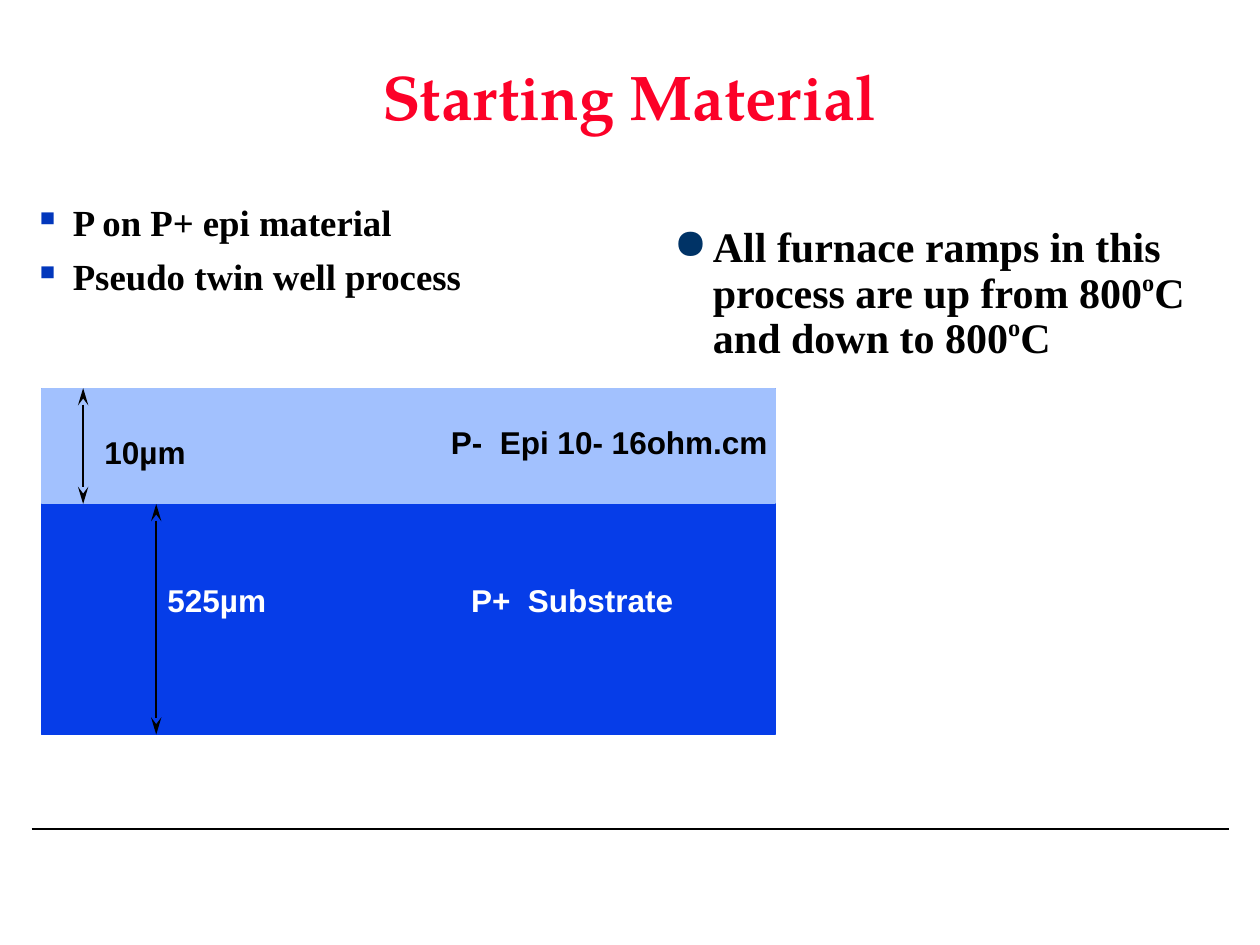
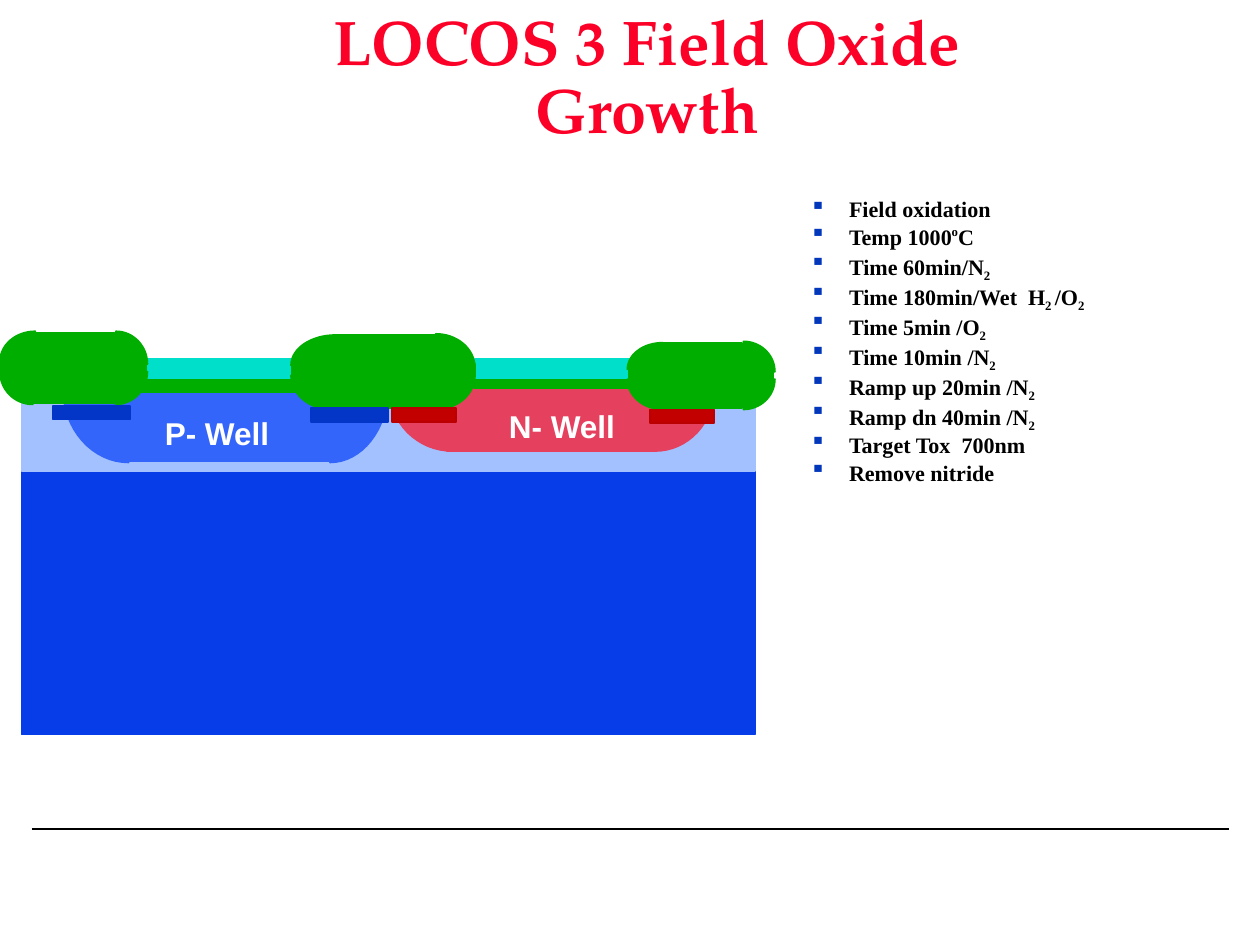
from dataclasses import dataclass
from math import cos, pi, sin

from lxml import etree
from pptx import Presentation
from pptx.dml.color import RGBColor
from pptx.enum.shapes import MSO_CONNECTOR, MSO_SHAPE
from pptx.enum.text import MSO_ANCHOR, MSO_AUTO_SIZE, PP_ALIGN
from pptx.oxml.ns import qn
from pptx.util import Inches, Pt


@dataclass(frozen=True)
class Theme:
    title_font: str = "TeX Gyre Pagella"
    body_font: str = "Times New Roman"
    label_font: str = "Arial"
    title_size: float = 36
    note_size: float = 24
    body_size: float = 21
    steps_size: float = 12.6
    label_size: float = 18
    title: str = "FC0128"
    black: str = "000000"
    white: str = "FFFFFF"
    bullet: str = "0237BC"
    note_bullet: str = "003366"
    substrate: str = "063DE8"
    epi: str = "A2C1FE"
    p_well: str = "3365FB"
    n_well: str = "E5405D"
    oxide: str = "00AE00"
    nitride: str = "00DFCA"
    p_implant: str = "0336C7"
    n_implant: str = "C20000"
    n_implant_edge: str = "BA0000"


THEME = Theme()
BASELINES = {"o": "40000", "2": "-25000"}
ARC_STEPS = 16

# Each corner is (centre x, centre y, signed x radius, signed y radius);
# each bar is (left, top, width, height).
N_WELL = ([(3.59, 3.08, -0.5, 0.5), (5.2, 3.08, 0.47, 0.5)],
          [(3.55, 3.09, 1.65, 0.49)])
P_WELL = ([(1.02, 3.08, -0.52, 0.59), (2.62, 3.08, 0.46, 0.59)],
          [(0.97, 3.09, 1.65, 0.57)])
FIELD_OXIDES = [
    ([(2.63, 2.98, -0.32, 0.27), (3.46, 2.98, 0.31, 0.27),
      (3.46, 2.92, 0.31, -0.27), (2.66, 2.9, -0.35, -0.24)],
     [(2.32, 2.89, 1.45, 0.09), (2.64, 2.66, 0.82, 0.58)]),
    ([(5.26, 3.01, -0.28, 0.24), (5.9, 3.01, 0.25, 0.24),
      (5.9, 2.95, 0.25, -0.24), (5.26, 2.93, -0.28, -0.21)],
     [(4.99, 2.93, 1.15, 0.08), (5.24, 2.72, 0.65, 0.52)]),
    ([(0.26, 2.95, -0.26, 0.26), (0.92, 2.95, 0.25, 0.26),
      (0.92, 2.89, 0.25, -0.26), (0.28, 2.87, -0.28, -0.24)],
     [(0.01, 2.86, 1.15, 0.09), (0.26, 2.64, 0.65, 0.56)]),
]


class Deck:
    def __init__(self, theme):
        self.theme = theme
        self.presentation = Presentation()
        self.presentation.slide_width = Inches(10)
        self.presentation.slide_height = Inches(7.5)
        self.slide = None

    def new_slide(self, title, left, top, width):
        """Start a slide with the footer rule and a centred title."""
        self.slide = self.presentation.slides.add_slide(self.presentation.slide_layouts[6])
        self.line(0.25, 6.58, 9.75, 6.58)
        text_frame = self.text_box(left, top, width, 1.25)
        text_frame.vertical_anchor = MSO_ANCHOR.MIDDLE
        text_frame.text = title
        paragraph = text_frame.paragraphs[0]
        paragraph.alignment = PP_ALIGN.CENTER
        paragraph.line_spacing = 0.9
        self.format_runs(paragraph, self.theme.title_font, self.theme.title_size, self.theme.title)

    def text_box(self, left, top, width, height):
        box = self.slide.shapes.add_textbox(Inches(left), Inches(top), Inches(width), Inches(height))
        box.text_frame.word_wrap = True
        return box.text_frame

    def format_runs(self, paragraph, font_name, size, colour):
        for run in paragraph.runs:
            run.font.name = font_name
            run.font.size = Pt(size)
            run.font.bold = True
            run.font.color.rgb = RGBColor.from_string(colour)

    def label(self, text, left, top, width, colour):
        text_frame = self.text_box(left, top, width, 0.4)
        text_frame.word_wrap = False
        text_frame.auto_size = MSO_AUTO_SIZE.SHAPE_TO_FIT_TEXT
        text_frame.text = text
        self.format_runs(text_frame.paragraphs[0], self.theme.label_font,
                         self.theme.label_size, colour)

    def bullets(self, items, left, top, width, height, size, spacing=0.9, gap=0,
                mark="▪", mark_colour=THEME.bullet):
        """Add a bulleted list; parts between bars are super- or subscript."""
        text_frame = self.text_box(left, top, width, height)
        for index, item in enumerate(items):
            paragraph = text_frame.add_paragraph() if index else text_frame.paragraphs[0]
            paragraph.line_spacing = spacing
            if index:
                paragraph.space_before = Pt(gap)
            self.add_bullet(paragraph, mark, mark_colour)
            for position, part in enumerate(item.split("|")):
                if not part:
                    continue
                run = paragraph.add_run()
                run.text = part
                if position % 2:
                    run.font._element.set("baseline", BASELINES[part.strip()])
            self.format_runs(paragraph, self.theme.body_font, size, self.theme.black)

    def add_bullet(self, paragraph, mark, colour):
        properties = paragraph._p.get_or_add_pPr()
        properties.set("marL", str(Inches(0.31)))
        properties.set("indent", str(-Inches(0.31)))
        bullet_colour = etree.SubElement(properties, qn("a:buClr"))
        etree.SubElement(bullet_colour, qn("a:srgbClr"), val=colour)
        etree.SubElement(properties, qn("a:buChar"), char=mark)

    def paint(self, shape, fill, edge=None):
        shape.shadow.inherit = False
        shape.fill.solid()
        shape.fill.fore_color.rgb = RGBColor.from_string(fill)
        shape.line.color.rgb = RGBColor.from_string(edge or fill)
        shape.line.width = Pt(1)

    def bar(self, left, top, width, height, fill, edge=None):
        shape = self.slide.shapes.add_shape(
            MSO_SHAPE.RECTANGLE, Inches(left), Inches(top), Inches(width), Inches(height))
        self.paint(shape, fill, edge)

    def quarter(self, centre_x, centre_y, radius_x, radius_y, fill):
        """Draw a quarter ellipse; the signs of the radii choose the quadrant."""
        angles = [step * pi / 2 / ARC_STEPS for step in range(ARC_STEPS + 1)]
        arc = [(Inches(centre_x + radius_x * cos(angle)),
                Inches(centre_y + radius_y * sin(angle))) for angle in angles]
        builder = self.slide.shapes.build_freeform(Inches(centre_x), Inches(centre_y))
        builder.add_line_segments(arc, close=True)
        self.paint(builder.convert_to_shape(), fill)

    def rounded_body(self, body, fill):
        corners, bars = body
        for corner in corners:
            self.quarter(*corner, fill)
        for bar in bars:
            self.bar(*bar, fill)

    def line(self, x1, y1, x2, y2, arrows=False):
        connector = self.slide.shapes.add_connector(
            MSO_CONNECTOR.STRAIGHT, Inches(x1), Inches(y1), Inches(x2), Inches(y2))
        connector.line.color.rgb = RGBColor.from_string(self.theme.black)
        connector.line.width = Pt(1)
        if arrows:
            outline = connector.line._get_or_add_ln()
            for end in ("a:headEnd", "a:tailEnd"):
                etree.SubElement(outline, qn(end), type="stealth", w="med", len="lg")
        etree.SubElement(connector._element.spPr, qn("a:effectLst"))

    def wafer(self, left, epi_height):
        self.bar(left, 3.09, 5.82, 2.74, self.theme.substrate)
        self.bar(left, 3.09, 5.82, epi_height, self.theme.epi)


def starting_material(deck):
    theme = deck.theme
    deck.new_slide("Starting Material", 1.08, 0.17, 7.83)
    deck.bullets(["P on P+ epi material", "Pseudo twin well process"],
                 0.17, 1.58, 4.33, 1.17, theme.body_size, gap=7.9)
    deck.wafer(0.33, 0.9)
    deck.line(0.66, 3.08, 0.66, 4, arrows=True)
    deck.line(1.24, 4, 1.24, 5.83, arrows=True)
    deck.label("P+  Substrate", 3.64, 4.56, 1.81, theme.white)
    deck.label("P-  Epi 10- 16ohm.cm", 3.48, 3.31, 2.72, theme.black)
    deck.label("10µm", 0.73, 3.39, 0.85, theme.black)
    deck.label("525µm", 1.23, 4.56, 0.99, theme.white)
    deck.bullets(["All furnace ramps in this process are up from 800|o|C and down to 800|o|C"],
                 5.25, 1.75, 4.33, 1.17, theme.note_size,
                 mark="●", mark_colour=theme.note_bullet)


def field_oxide_growth(deck):
    theme = deck.theme
    deck.new_slide("LOCOS 3 Field Oxide Growth", 1.85, 0, 6.57)
    deck.bullets(["Field oxidation", "Temp 1000|o|C", "Time 60min/N|2|",
                  "Time 180min/Wet  H|2 |/O|2|", "Time 5min /O|2|", "Time 10min /N|2|",
                  "Ramp up 20min /N|2|", "Ramp dn 40min /N|2|",
                  "Target Tox  700nm", "Remove nitride"],
                 6.33, 1.58, 3.42, 2.29, theme.steps_size, spacing=0.6, gap=6.8)
    deck.wafer(0.17, 0.65)
    deck.rounded_body(N_WELL, theme.n_well)
    deck.rounded_body(P_WELL, theme.p_well)
    deck.label("P- Well", 1.21, 3.24, 1.04, theme.white)
    deck.label("N- Well", 3.94, 3.18, 1.05, theme.white)
    deck.bar(1.08, 3.01, 1.33, 0.1, theme.oxide)
    deck.bar(3.76, 3.01, 1.24, 0.07, theme.oxide)
    for left in (1.16, 3.77):
        deck.bar(left, 2.85, 1.24, 0.15, theme.nitride)
    for field_oxide in FIELD_OXIDES:
        deck.rounded_body(field_oxide, theme.oxide)
    for left, top in ((2.47, 3.24), (0.42, 3.22)):
        deck.bar(left, top, 0.61, 0.11, theme.p_implant)
    for left, top in ((3.11, 3.24), (5.16, 3.25)):
        deck.bar(left, top, 0.51, 0.11, theme.n_implant, theme.n_implant_edge)


def main():
    deck = Deck(THEME)
    starting_material(deck)
    field_oxide_growth(deck)
    deck.presentation.save("out.pptx")


if __name__ == "__main__":
    main()
